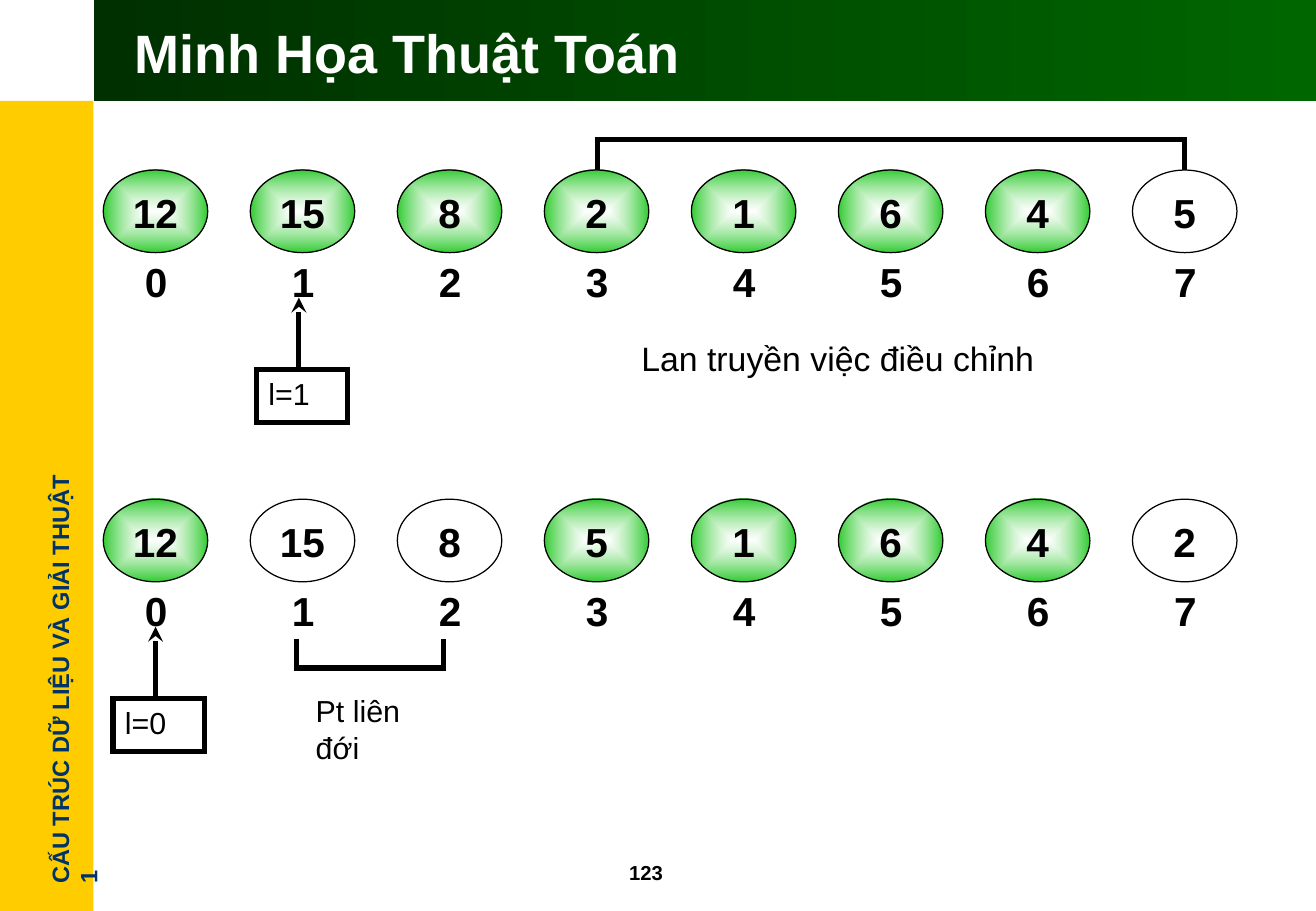
import pptx
import pptx.util
import pptx.dml.color
import pptx.enum.dml
import pptx.enum.shapes
import pptx.enum.text
import pptx.oxml
from pptx.oxml.ns import qn
from lxml import etree

Inches, Pt = pptx.util.Inches, pptx.util.Pt
RGBColor = pptx.dml.color.RGBColor
SHAPES = pptx.enum.shapes.MSO_SHAPE
ALIGN = pptx.enum.text.PP_ALIGN

BLACK = RGBColor(0x00, 0x00, 0x00)
WHITE = RGBColor(0xFF, 0xFF, 0xFF)
YELLOW = RGBColor(0xFF, 0xCC, 0x00)
NAVY = RGBColor(0x00, 0x33, 0x66)
DARK_GREEN = RGBColor(0x00, 0x2F, 0x00)
GREEN = RGBColor(0x00, 0x66, 0x00)
NODE_GREEN = RGBColor(0x33, 0xCC, 0x33)

# Content
TITLE = "Minh Họa Thuật Toán"
COURSE = "CẤU TRÚC DỮ LIỆU VÀ GIẢI THUẬT 1"
SLIDE_NUMBER = "123"
ROWS = [
    {"top": 1.40, "values": [12, 15, 8, 2, 1, 6, 4, 5], "white": {7},
     "pointer": "l=1", "pointer_x": 2.46},
    {"top": 4.11, "values": [12, 15, 8, 5, 1, 6, 4, 2], "white": {1, 2, 7},
     "pointer": "l=0", "pointer_x": 1.28},
]
NOTES = [  # text, left, top, width, height, size
    ("Lan truyền việc điều chỉnh", 5.18, 2.73, 3.52, 0.43, 20),
    ("Pt liên đới", 2.50, 5.65, 0.92, 0.70, 18),
]
BRACKETS = [  # left, right, y of the ends, y of the bar
    (4.92, 9.75, 1.40, 1.15),
    (2.44, 3.65, 5.26, 5.50),
]
FIRST_LEFT, PITCH = 0.85, 1.21
NODE_WIDTH, NODE_HEIGHT = 0.86, 0.68

NODE_GRADIENT = (
    '<a:gradFill xmlns:a="http://schemas.openxmlformats.org/drawingml/2006/main"'
    ' rotWithShape="1"><a:gsLst>'
    f'<a:gs pos="0"><a:srgbClr val="{WHITE}"><a:alpha val="60000"/></a:srgbClr></a:gs>'
    f'<a:gs pos="100000"><a:srgbClr val="{NODE_GREEN}"/></a:gs></a:gsLst>'
    '<a:path path="shape"><a:fillToRect l="50000" t="50000" r="50000" b="50000"/>'
    '</a:path></a:gradFill>')

presentation = pptx.Presentation()
presentation.slide_width = Inches(10.83)
presentation.slide_height = Inches(7.5)
slide = presentation.slides.add_slide(presentation.slide_layouts[5])


def write(shape, text, size, color=BLACK, bold=False, align=ALIGN.LEFT,
          anchor=pptx.enum.text.MSO_ANCHOR.TOP):
    frame = shape.text_frame
    frame.word_wrap = True
    frame.auto_size = pptx.enum.text.MSO_AUTO_SIZE.NONE
    frame.vertical_anchor = anchor
    frame.text = text
    paragraph = frame.paragraphs[0]
    paragraph.alignment = align
    font = paragraph.font
    font.name, font.size, font.bold = "Arial", Pt(size), bold
    font.color.rgb = color


def add_shape(kind, left, top, width, height):
    shape = slide.shapes.add_shape(
        kind, Inches(left), Inches(top), Inches(width), Inches(height))
    shape.shadow.inherit = False
    shape.fill.background()
    shape.line.fill.background()
    return shape


def add_text(text, left, top, width, height, size, **style):
    box = slide.shapes.add_textbox(
        Inches(left), Inches(top), Inches(width), Inches(height))
    write(box, text, size, **style)
    return box


def set_line(shape, points):
    shape.line.color.rgb = BLACK
    shape.line.width = Pt(points)
    line = shape.element.spPr.find(qn("a:ln"))
    etree.SubElement(line, qn("a:miter"), lim="800000")
    return line


def add_node(column, top, value, is_white):
    node = add_shape(SHAPES.OVAL, FIRST_LEFT + column * PITCH, top,
                     NODE_WIDTH, NODE_HEIGHT)
    if is_white:
        node.fill.solid()
        node.fill.fore_color.rgb = WHITE
    else:
        properties = node.element.spPr
        properties.replace(properties.find(qn("a:noFill")),
                           pptx.oxml.parse_xml(NODE_GRADIENT))
    set_line(node, 0.75)
    write(node, str(value), 24, bold=True, align=ALIGN.CENTER)


def add_pointer(text, x, row_top):
    box_top = row_top + 1.64
    box = add_shape(SHAPES.RECTANGLE, x - 0.35, box_top, 0.75, 0.44)
    set_line(box, 3)
    write(box, text, 18)
    arrow = slide.shapes.add_connector(
        pptx.enum.shapes.MSO_CONNECTOR.STRAIGHT,
        Inches(x), Inches(box_top), Inches(x), Inches(row_top + 1.05))
    etree.SubElement(set_line(arrow, 3), qn("a:tailEnd"), type="stealth")
    etree.SubElement(arrow.element.spPr, qn("a:effectLst"))


def add_bracket(left, right, end_y, bar_y):
    builder = slide.shapes.build_freeform(Inches(left), Inches(end_y))
    builder.add_line_segments(
        [(Inches(x), Inches(y))
         for x, y in ((left, bar_y), (right, bar_y), (right, end_y))], close=False)
    bracket = builder.convert_to_shape()
    bracket.shadow.inherit = False
    bracket.fill.background()
    set_line(bracket, 3)


# Side band, header and slide number
band = add_shape(SHAPES.RECTANGLE, 0, 0.83, 0.77, 6.67)
band.fill.solid()
band.fill.fore_color.rgb = YELLOW
course = add_text(COURSE, -1.31, 5.41, 3.6, 0.33, 14, color=NAVY, bold=True)
course.rotation = 270
header = add_shape(SHAPES.RECTANGLE, 0.77, 0, 10.06, 0.83)
header.fill.gradient()
header.fill.gradient_angle = 0
for stop, color in zip(header.fill.gradient_stops, (DARK_GREEN, GREEN)):
    stop.color.rgb = color
add_text(SLIDE_NUMBER, 5.08, 7.03, 0.83, 0.3, 12, bold=True)

# Title, brought in front of the header
title = slide.shapes.title
title.left, title.top = Inches(1.01), Inches(0.09)
title.width, title.height = Inches(9.61), Inches(0.67)
write(title, TITLE, 32, color=WHITE, bold=True,
      anchor=pptx.enum.text.MSO_ANCHOR.MIDDLE)
title.element.getparent().append(title.element)

# Array rows with their indexes and pointers
for row in ROWS:
    for column, value in enumerate(row["values"]):
        add_node(column, row["top"], value, column in row["white"])
        index = add_shape(SHAPES.OVAL, FIRST_LEFT + column * PITCH,
                          row["top"] + 0.57, 0.87, 0.66)
        write(index, str(column), 24, bold=True, align=ALIGN.CENTER)
    add_pointer(row["pointer"], row["pointer_x"], row["top"])

# Brackets and notes
for bracket_place in BRACKETS:
    add_bracket(*bracket_place)
for note in NOTES:
    add_text(*note)

presentation.save("out.pptx")
